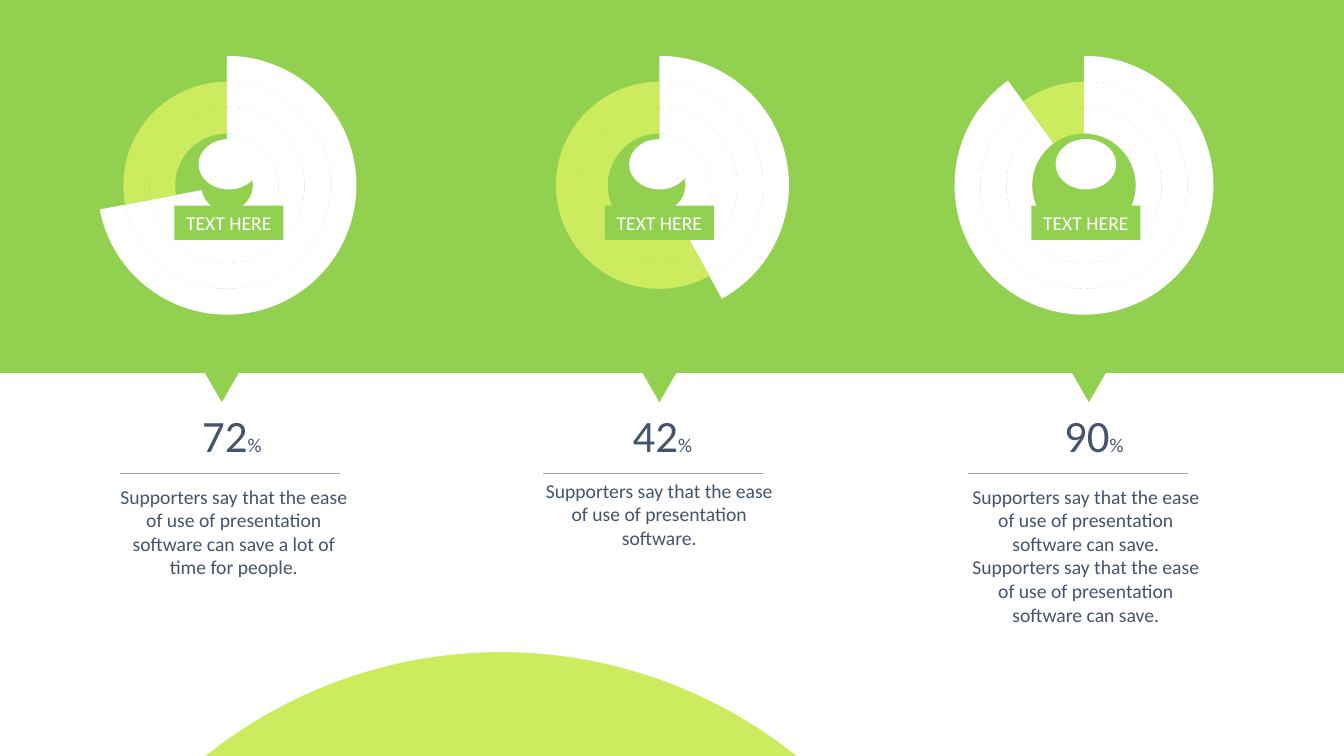
import math

from lxml import etree
from pptx import Presentation
from pptx.chart import data
from pptx.dml import color
from pptx.enum import chart as charts, shapes, text
from pptx.oxml import ns, xmlchemy
from pptx.util import Inches, Pt

FONT = "Calibri"
COLORS = {"green": "92D050", "lime": "CDEB5F", "white": "FFFFFF",
          "slate": "44546A", "rule": "A6A6A6", "black": "000000"}
SLIDE_W, SLIDE_H = 13.33, 7.5
CHART_W, CHART_H, RING = 2.84, 3.04, 2.57

COLUMNS = [
    dict(share=72, core="white", ring_x=2.25, badge_x=2.27, marker_x=2.2,
         share_x=2.3, rule_x=2.28, body_x=2.32, body_y=4.76, body_h=1.04,
         body="Supporters say that the ease of use of presentation "
              "software can save a lot of time for people."),
    dict(share=42, core="white", ring_x=6.54, badge_x=6.54, marker_x=6.54,
         share_x=6.57, rule_x=6.48, body_x=6.54, body_y=4.7, body_h=0.81,
         body="Supporters say that the ease of use of presentation software."),
    dict(share=90, core="green", ring_x=10.75, badge_x=10.77, marker_x=10.8,
         share_x=10.85, rule_x=10.69, body_x=10.77, body_y=4.76, body_h=1.75,
         body="Supporters say that the ease of use of presentation software "
              "can save. Supporters say that the ease of use of presentation "
              "software can save."),
]


def rgb(name):
    """Return the named palette colour."""
    return color.RGBColor.from_string(COLORS[name])


def paint(part, fill):
    """Fill a shape or chart point and remove its outline."""
    if fill:
        part.fill.solid()
        part.fill.fore_color.rgb = rgb(fill)
    else:
        part.fill.background()
    part.line.fill.background()


def add_flat(slide, kind, center_x, top, width, height, fill):
    """Add an unshadowed preset shape centred on center_x."""
    flat = slide.shapes.add_shape(kind, Inches(center_x - width / 2),
                                  Inches(top), Inches(width), Inches(height))
    flat.shadow.inherit = False
    paint(flat, fill)
    return flat


def write(frame, *pieces, ink="slate", wrap=True, anchor=text.MSO_ANCHOR.TOP):
    """Write centred (wording, size) pieces into a text frame."""
    frame.word_wrap = wrap
    frame.vertical_anchor = anchor
    line = frame.paragraphs[0]
    line.alignment = text.PP_ALIGN.CENTER
    for wording, size in pieces:
        run = line.add_run()
        run.text = wording
        run.font.name, run.font.size = FONT, Pt(size)
        run.font.color.rgb = rgb(ink)


def add_copy(slide, center_x, top, width, height, *pieces):
    """Add a wrapping text box centred on center_x."""
    box = slide.shapes.add_textbox(Inches(center_x - width / 2), Inches(top),
                                   Inches(width), Inches(height))
    write(box.text_frame, *pieces)


def set_plot_layout(chart):
    """Centre the rings in the chart frame."""
    width, height = RING / CHART_W, RING / CHART_H
    values = dict(x=(1 - width) / 2, y=(1 - height) / 2, w=width, h=height)
    plot_area = chart._chartSpace.chart.plotArea
    for old in plot_area.findall(ns.qn("c:layout")):
        plot_area.remove(old)
    layout = xmlchemy.OxmlElement("c:layout")
    plot_area.insert(0, layout)
    manual = etree.SubElement(layout, ns.qn("c:manualLayout"))
    settings = [("layoutTarget", "inner"), ("xMode", "edge"), ("yMode", "edge")]
    settings += [(key, f"{value:.3f}") for key, value in values.items()]
    for tag, value in settings:
        etree.SubElement(manual, ns.qn(f"c:{tag}")).set("val", value)


def add_rings(slide, center_x, top, share, core):
    """Add the four-ring doughnut for one share."""
    ring_data = data.CategoryChartData()
    ring_data.categories = ["1", "2"]
    for number in range(1, 5):
        ring_data.add_series(f"Series {number}", (share, 100 - share))
    chart = slide.shapes.add_chart(
        charts.XL_CHART_TYPE.DOUGHNUT, Inches(center_x - CHART_W / 2),
        Inches(top), Inches(CHART_W), Inches(CHART_H), ring_data).chart
    chart.has_legend = chart.has_title = False
    chart.font.name, chart.font.size = FONT, Pt(10)
    chart.font.color.rgb = rgb("black")
    plot = chart.plots[0]
    plot.has_data_labels = False
    fills = [(core, None), ("white", "lime"), ("white", "lime"), ("white", None)]
    for series, pair in zip(plot.series, fills):
        for index, fill in enumerate(pair):
            paint(series.points[index].format, fill)
    for hole in chart._chartSpace.iter(ns.qn("c:holeSize")):
        hole.set("val", "80")
    set_plot_layout(chart)


def add_gauge(slide, top, column):
    """Build the rings, icon and badge of one column."""
    add_rings(slide, column["ring_x"], top + 0.32, column["share"], column["core"])
    add_flat(slide, shapes.MSO_SHAPE.OVAL, column["badge_x"], top + 1.38,
             0.6, 0.5, "white")
    badge = add_flat(slide, shapes.MSO_SHAPE.RECTANGLE, column["badge_x"],
                     top + 2.04, 1.08, 0.34, "green")
    write(badge.text_frame, ("TEXT HERE", 14), ink="white", wrap=False,
          anchor=text.MSO_ANCHOR.MIDDLE)


def add_finding(slide, top, column):
    """Build the marker, share, rule and statement of one column."""
    marker = add_flat(slide, shapes.MSO_SHAPE.ISOSCELES_TRIANGLE,
                      column["marker_x"], top - 0.17, 0.53, 0.46, "green")
    marker.rotation = 180
    add_copy(slide, column["share_x"], top + 0.3, 1.09, 0.64,
             (str(column["share"]), 32), ("%", 14))
    rule_y = Inches(top + 1)
    rule = slide.shapes.add_connector(
        shapes.MSO_CONNECTOR.STRAIGHT, Inches(column["rule_x"] - 1.09), rule_y,
        Inches(column["rule_x"] + 1.09), rule_y)
    rule.line.color.rgb = rgb("rule")
    rule.line.width = Pt(0.5)
    etree.SubElement(rule._element.spPr, ns.qn("a:effectLst"))
    add_copy(slide, column["body_x"], column["body_y"], 2.46, column["body_h"],
             (column["body"], 14))


def add_dome(slide, center_x, top, half_width, height):
    """Draw the circular cap along the slide's bottom edge."""
    radius = (half_width ** 2 + height ** 2) / (2 * height)
    reach = math.asin(half_width / radius)
    angles = [reach * step / 40 for step in range(-40, 41)]
    arc = [(Inches(center_x + radius * math.sin(angle)),
            Inches(top + radius * (1 - math.cos(angle)))) for angle in angles]
    outline = slide.shapes.build_freeform(*arc[0])
    outline.add_line_segments(arc[1:], close=True)
    dome = outline.convert_to_shape()
    dome.shadow.inherit = False
    paint(dome, "lime")


def main():
    """Build and save the slide."""
    deck = Presentation()
    deck.slide_width, deck.slide_height = Inches(SLIDE_W), Inches(SLIDE_H)
    slide = deck.slides.add_slide(deck.slide_layouts[6])
    add_flat(slide, shapes.MSO_SHAPE.RECTANGLE, SLIDE_W / 2, 0, SLIDE_W, 3.7,
             "green")
    add_dome(slide, 4.97, 6.47, 2.93, 1.03)
    for column in COLUMNS:
        add_gauge(slide, 0, column)
        add_finding(slide, 3.7, column)
    deck.save("out.pptx")


if __name__ == "__main__":
    main()
